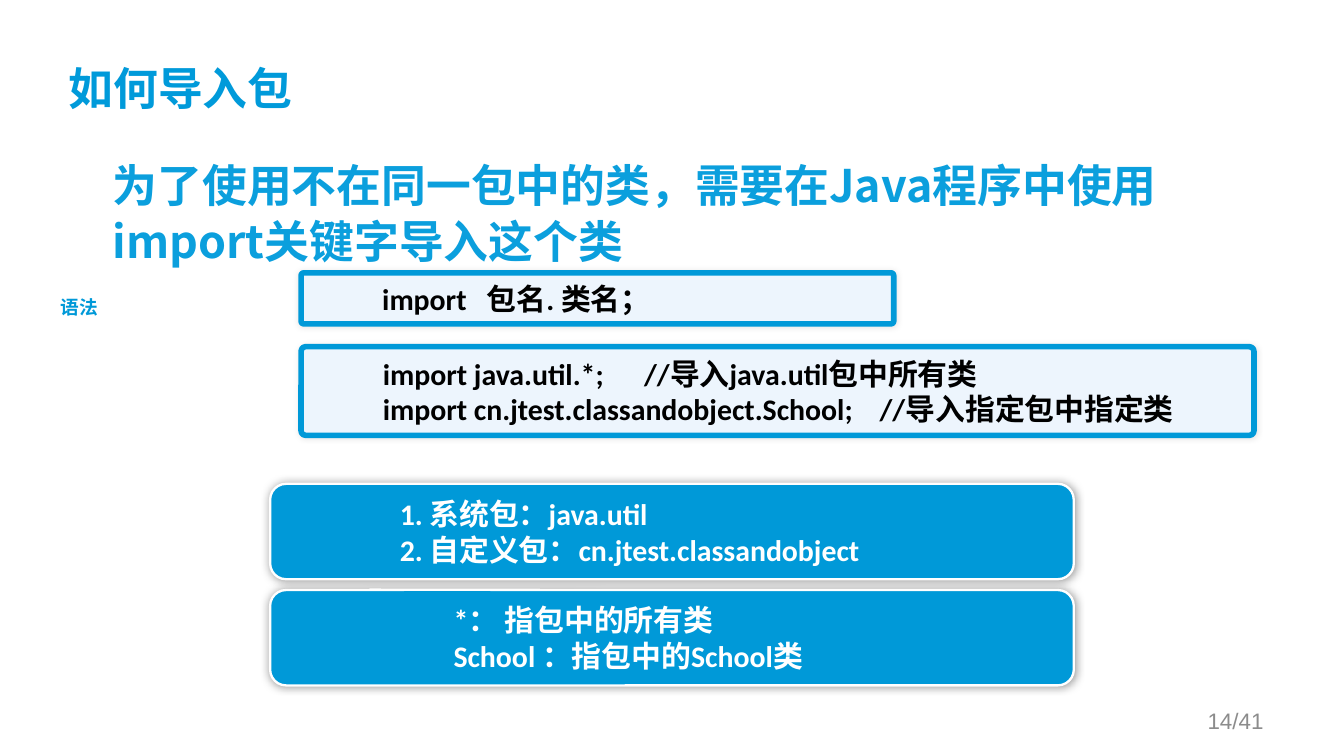
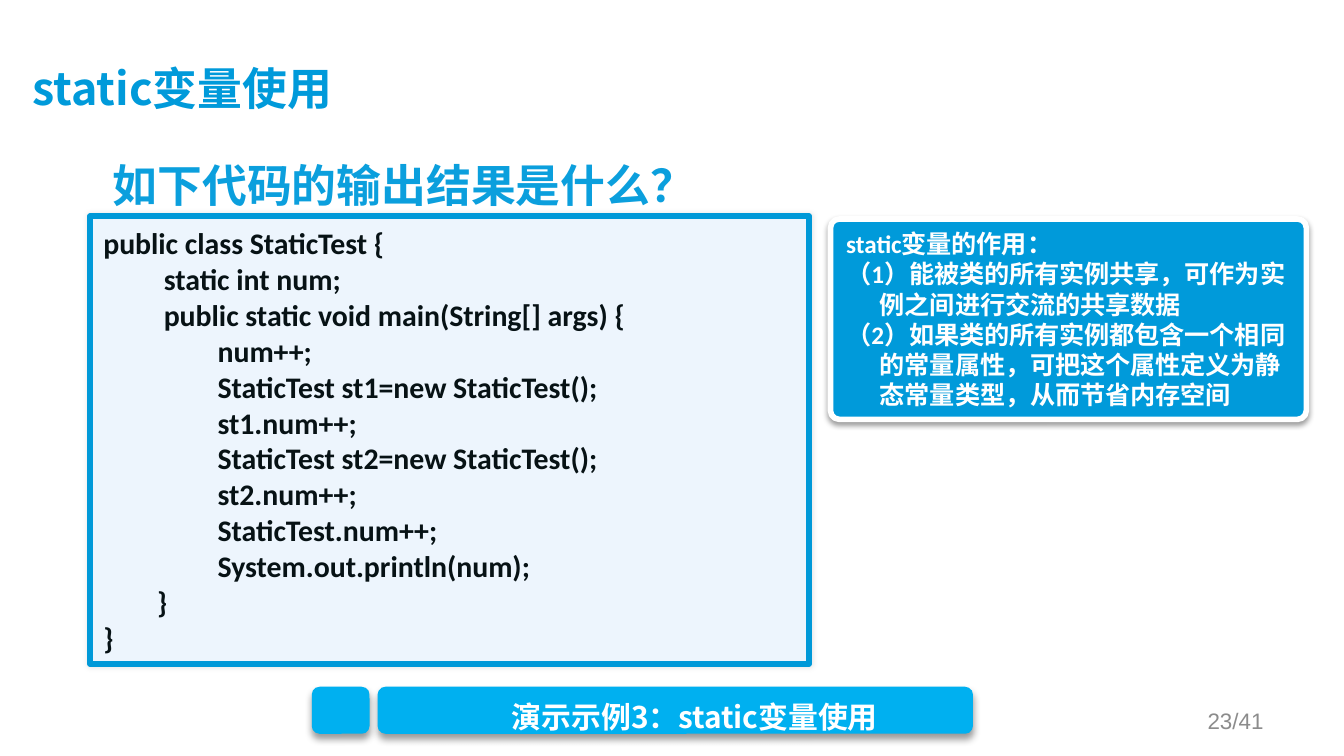
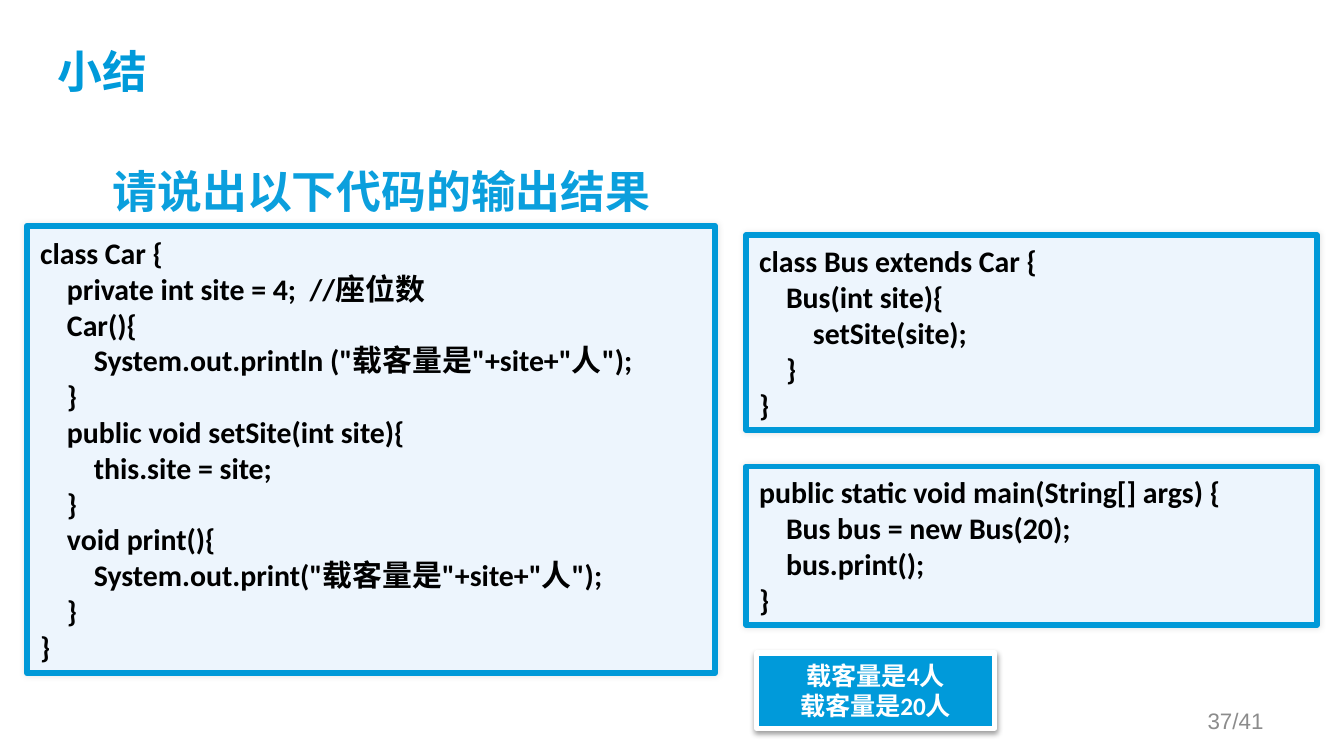
from collections import namedtuple

from lxml.etree import SubElement
from pptx import Presentation
from pptx.dml.color import RGBColor
from pptx.enum.shapes import MSO_SHAPE
from pptx.enum.text import MSO_ANCHOR, PP_ALIGN
from pptx.oxml.ns import qn
from pptx.util import Inches, Pt

Style = namedtuple("Style", "font size color bold leading")
Shadow = namedtuple("Shadow", "alpha blur distance")
Panel = namedtuple("Panel", "fill line line_width shadow")

BLUE = RGBColor(0x00, 0x99, 0xD8)
TITLE_BLUE = RGBColor(0x00, 0x9A, 0xDA)
BODY_BLUE = RGBColor(0x0B, 0x9F, 0xDD)
BRIGHT_BLUE = RGBColor(0x00, 0xB0, 0xF0)
PALE_BLUE = RGBColor(0xED, 0xF5, 0xFD)
INK = RGBColor(0x07, 0x12, 0x15)
BLACK = RGBColor(0x00, 0x00, 0x00)
WHITE = RGBColor(0xFF, 0xFF, 0xFF)
GRAY = RGBColor(0x8C, 0x8C, 0x8C)

CHINESE_FONT = "Noto Sans CJK SC"
TITLE = Style(CHINESE_FONT, 24, TITLE_BLUE, True, None)
BODY = Style(CHINESE_FONT, 24, BODY_BLUE, True, 30)
CODE = Style("Calibri", 16, BLACK, True, 19.2)
NOTE = Style("Calibri", 13.5, WHITE, True, 16.2)
LABEL = Style("Arial", 10, BLUE, True, None)
DEMO = Style(CHINESE_FONT, 16, WHITE, True, None)
FOOTER = Style("Arial", 12, GRAY, False, None)

CODE_PANEL = Panel(PALE_BLUE, BLUE, 3, Shadow(10, 3, 0))
CALLOUT_PANEL = Panel(BLUE, WHITE, 1.25, Shadow(40, 5, 0))
NOTE_PANEL = Panel(TITLE_BLUE, WHITE, 3, Shadow(38, 3.1, 1.6))
DEMO_PANEL = Panel(BRIGHT_BLUE, None, 0, Shadow(40, 4, 3))

SLIDE_COUNT = 41
GRID = 0.1

STATIC_CODE = """public class StaticTest {
         static int num;
         public static void main(String[] args) {
                 num++;
                 StaticTest st1=new StaticTest();
                 st1.num++;
                 StaticTest st2=new StaticTest();
                 st2.num++;
                 StaticTest.num++;
                 System.out.println(num);
        }
}"""

CAR_CODE = """class Car {
    private int site = 4;  //座位数
    Car(){
        System.out.println ("载客量是"+site+"人");
    }
    public void setSite(int site){
        this.site = site;
    }
    void print(){
        System.out.print("载客量是"+site+"人");
    }
}"""

BUS_CODE = """class Bus extends Car {
    Bus(int site){
        setSite(site);
    }
}"""

MAIN_CODE = """public static void main(String[] args) {
    Bus bus = new Bus(20);
    bus.print();
}"""

IMPORT_CODE = """import java.util.*;      //导入java.util包中所有类
import cn.jtest.classandobject.School;    //导入指定包中指定类"""

STATIC_NOTE = """static变量的作用：
（1）能被类的所有实例共享，可作为实例之间进行交流的共享数据
（2）如果类的所有实例都包含一个相同的常量属性，可把这个属性定义为静态常量类型，从而节省内存空间"""


def grid(*cells):
    """Turn grid columns and rows into lengths."""
    return [Inches(cell * GRID) for cell in cells]


def set_indent(paragraph, left, first_line=0):
    """Set the left margin and first line indent in inches."""
    properties = paragraph._p.get_or_add_pPr()
    properties.set("marL", str(Inches(left)))
    properties.set("indent", str(Inches(first_line)))


def add_bullet(paragraph):
    """Give a paragraph a blue diamond bullet."""
    set_indent(paragraph, 0.5, -0.5)
    properties = paragraph._p.get_or_add_pPr()
    color = SubElement(properties, qn("a:buClr"))
    SubElement(color, qn("a:srgbClr"), val=str(BLUE))
    SubElement(properties, qn("a:buFont"), typeface="Arial")
    SubElement(properties, qn("a:buChar"), char="◆")


def write_text(shape, text, style, align=PP_ALIGN.LEFT, anchor=MSO_ANCHOR.MIDDLE, wrap=True):
    """Fill a shape with styled text and return its paragraphs."""
    frame = shape.text_frame
    frame.text = text
    frame.word_wrap = wrap
    frame.vertical_anchor = anchor
    for paragraph in frame.paragraphs:
        paragraph.alignment = align
        if style.leading:
            paragraph.line_spacing = Pt(style.leading)
        for run in paragraph.runs:
            run.font.name = style.font
            run.font.size = Pt(style.size)
            run.font.bold = style.bold
            run.font.color.rgb = style.color
            east_asian = SubElement(run.font._element, qn("a:ea"))
            east_asian.set("typeface", CHINESE_FONT)
    return frame.paragraphs


def add_shadow(shape, shadow):
    """Give a shape a soft black shadow falling downwards."""
    shape.shadow.inherit = False
    effects = shape._element.spPr.find(qn("a:effectLst"))
    outer = SubElement(effects, qn("a:outerShdw"), blurRad=str(Pt(shadow.blur)),
                       dist=str(Pt(shadow.distance)), dir="5400000",
                       algn="ctr", rotWithShape="0")
    color = SubElement(outer, qn("a:srgbClr"), val=str(BLACK))
    SubElement(color, qn("a:alpha"), val=str(shadow.alpha * 1000))


def add_panel(slide, cells, panel, adjustments=(0,), kind=MSO_SHAPE.ROUNDED_RECTANGLE):
    """Add a filled and shadowed shape."""
    shape = slide.shapes.add_shape(kind, *grid(*cells))
    for index, value in enumerate(adjustments):
        shape.adjustments[index] = value
    shape.fill.solid()
    shape.fill.fore_color.rgb = panel.fill
    if panel.line is None:
        shape.line.fill.background()
    else:
        shape.line.color.rgb = panel.line
        shape.line.width = Pt(panel.line_width)
    add_shadow(shape, panel.shadow)
    return shape


def add_code(slide, cells, code, color=BLACK, rounding=0, indent=0):
    """Add a pale panel of code."""
    panel = add_panel(slide, cells, CODE_PANEL, (rounding,))
    for paragraph in write_text(panel, code, CODE._replace(color=color)):
        set_indent(paragraph, indent)


def add_callout(slide, row, text, tip, margin):
    """Add a blue callout explaining the import syntax."""
    callout = add_panel(slide, (20.1, row, 59.8, 7.1), CALLOUT_PANEL, (*tip, 0.167),
                        MSO_SHAPE.ROUNDED_RECTANGULAR_CALLOUT)
    write_text(callout, text, CODE._replace(color=WHITE))
    callout.text_frame.margin_left = Inches(margin)


def add_note(slide, cells, text, rounding, align=PP_ALIGN.LEFT):
    """Add a blue note with a white border."""
    note = add_panel(slide, cells, NOTE_PANEL, (rounding,))
    for paragraph in write_text(note, text, NOTE, align):
        set_indent(paragraph, 0.25, -0.25)


def add_label(slide, cells, text, style, align=PP_ALIGN.CENTER, wrap=False):
    """Add a text box vertically centred on its place."""
    label = slide.shapes.add_textbox(*grid(*cells))
    write_text(label, text, style, align, wrap=wrap)
    return label


def add_topic(slide, text, row=11.1):
    """Add the bulleted statement under the title."""
    topic = slide.shapes.add_textbox(*grid(7.4, row, 84.9, 10))
    topic.text_frame.text = text
    add_bullet(topic.text_frame.paragraphs[0])
    write_text(topic, text, BODY, anchor=MSO_ANCHOR.TOP)


def start_slide(presentation, title, number, column, row=2.1):
    """Add a blank slide with its title and page number."""
    slide = presentation.slides.add_slide(presentation.slide_layouts[6])
    heading = add_label(slide, (column, row, 90, 9.4), title, TITLE, PP_ALIGN.LEFT, True)
    heading.text_frame.margin_left = heading.text_frame.margin_top = 0
    add_label(slide, (71.7, 52.1, 23.3, 3), f"{number}/{SLIDE_COUNT}", FOOTER,
              PP_ALIGN.RIGHT, True)
    return slide


def build_import_slide(presentation):
    """Show how a package is imported."""
    slide = start_slide(presentation, "如何导入包", 14, 5.1)
    add_topic(slide, "为了使用不在同一包中的类，需要在Java程序中使用import关键字导入这个类")
    add_callout(slide, 36, "1. 系统包：java.util\n2. 自定义包：cn.jtest.classandobject",
                (0.247, -0.502), 0.93)
    add_callout(slide, 43.9, "*： 指包中的所有类\nSchool ：指包中的School类",
                (-0.376, -0.504), 1.33)
    add_code(slide, (22.4, 20.3, 44.1, 3.8), "import   包名. 类名；", rounding=0.053, indent=0.5)
    add_code(slide, (22.4, 25.8, 70.9, 6.6), IMPORT_CODE, rounding=0.053, indent=0.5)
    add_label(slide, (3.5, 21.5, 4.8, 2.7), "语法", LABEL)


def build_static_slide(presentation):
    """Show a static variable at work."""
    slide = start_slide(presentation, "static变量使用", 23, 2.4)
    add_topic(slide, "如下代码的输出结果是什么？")
    add_code(slide, (6.7, 16.1, 53.5, 33.3), STATIC_CODE, INK)
    add_note(slide, (61.8, 16.3, 35.4, 14.9), STATIC_NOTE, 0.043)
    for column, width in ((23.2, 4.3), (28.1, 44.3)):
        add_panel(slide, (column, 51.1, width, 3.5), DEMO_PANEL, (0.167,))
    add_label(slide, (30.8, 51.5, 41.8, 3.7), "演示示例3：static变量使用", DEMO)


def build_summary_slide(presentation):
    """Ask for the output of the inheritance code."""
    slide = start_slide(presentation, "小结", 37, 4.3, 0.8)
    add_code(slide, (2, 16.8, 51.2, 33.3), CAR_CODE)
    add_code(slide, (55.5, 17.5, 42.5, 14.5), BUS_CODE)
    add_code(slide, (55.5, 34.7, 42.5, 11.8), MAIN_CODE)
    add_note(slide, (56.3, 48.6, 17.7, 5.6), "载客量是4人\n载客量是20人", 0, PP_ALIGN.CENTER)
    add_topic(slide, "请说出以下代码的输出结果", 11.5)


def main():
    """Build and save the presentation."""
    presentation = Presentation()
    presentation.slide_width, presentation.slide_height = grid(100, 56.25)
    build_import_slide(presentation)
    build_static_slide(presentation)
    build_summary_slide(presentation)
    presentation.save("out.pptx")


if __name__ == "__main__":
    main()
